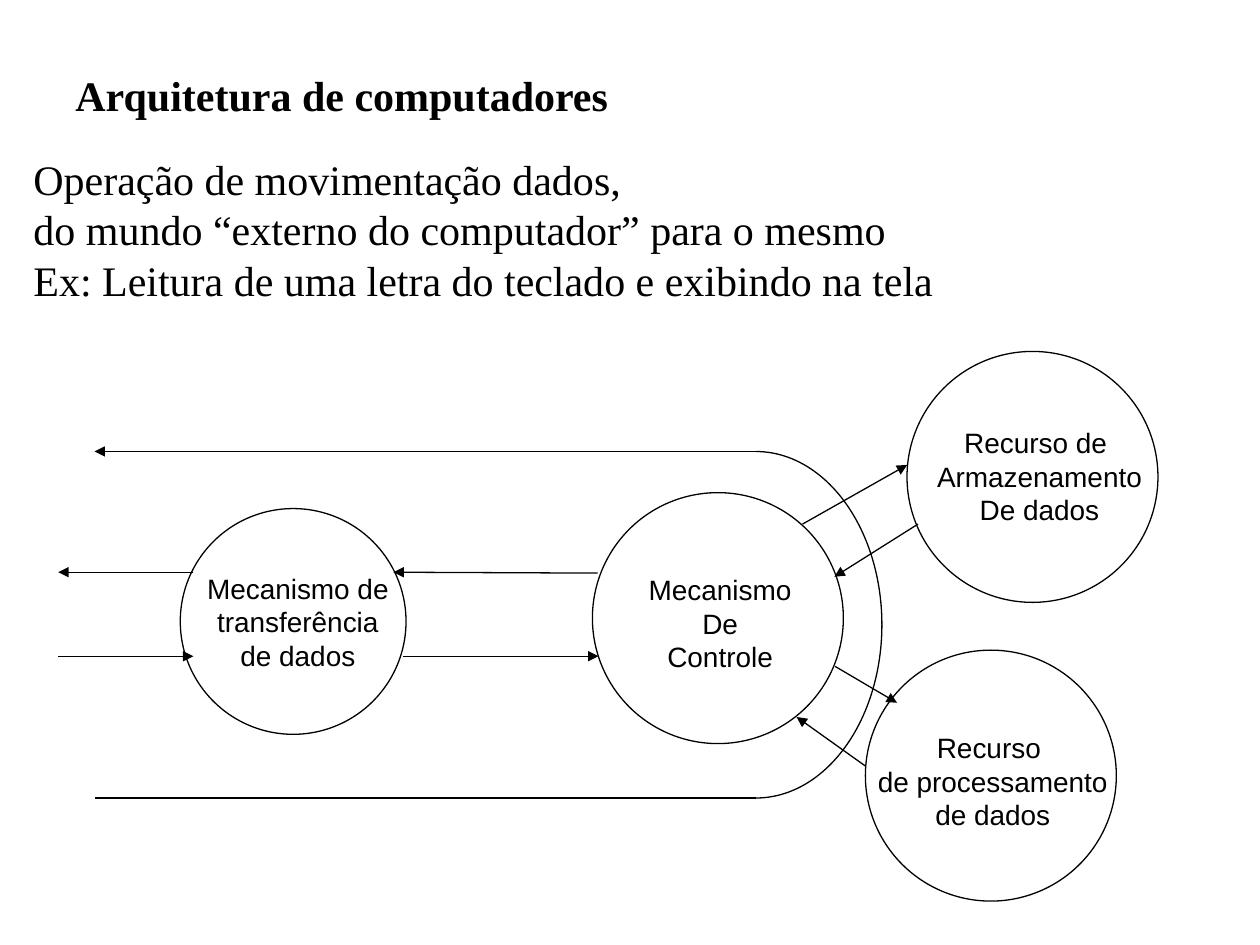
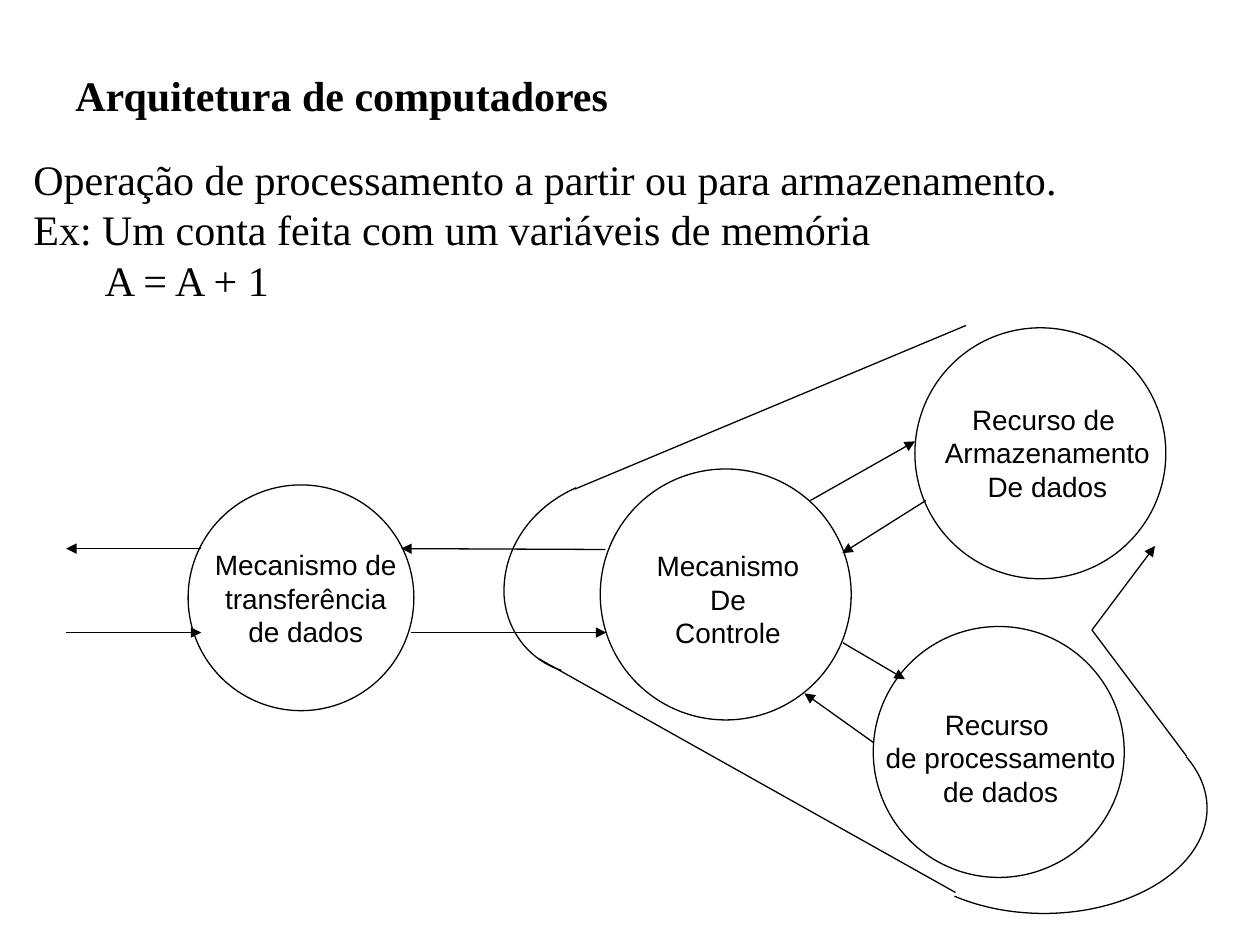
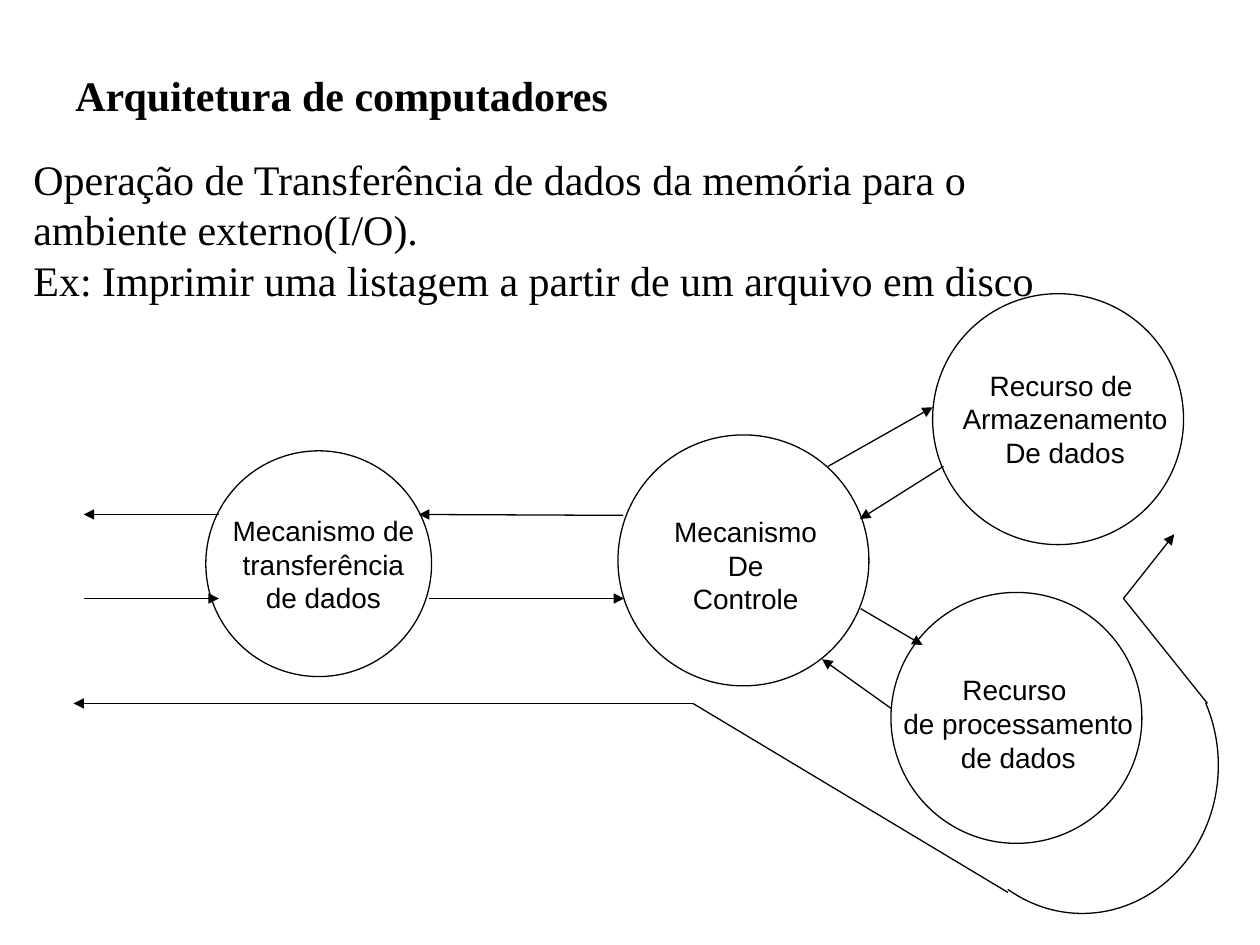
import pptx
import pptx.dml.color
import pptx.enum.shapes
import pptx.enum.text
import pptx.oxml.ns
import pptx.util
from lxml import etree

Pt = pptx.util.Pt
MSO_SHAPE = pptx.enum.shapes.MSO_SHAPE
PP_ALIGN = pptx.enum.text.PP_ALIGN
INK = "000000"
LINE_WIDTH = 0.75
TITLE = "Arquitetura de computadores"
TITLE_FONT = "Times New Roman"
LABEL_FONT = "Arial"

CIRCLES = [
    (103, 290.6, 129),
    (338.5, 281.5, 143.4),
    (518.3, 200.8, 143.4),
    (494.5, 371.5, 143.4),
]
LABELS = [
    (110.8, 323, 118.8, ["Mecanismo de transferência de dados"], True),
    (362.5, 323.6, 98, ["Mecanismo", "De", "Controle"], False),
    (527, 239.8, 134, ["Recurso de ", "Armazenamento", "De dados"], False),
    (492.8, 414, 149, ["Recurso ", "de processamento", "de dados"], False),
]
FLOWS = [
    (110.5, 327, 33.3, 327),
    (33.3, 375, 110.5, 375),
    (230.5, 375, 342, 375),
    (341.5, 327.5, 224.8, 327),
    (458.6, 299.5, 518.4, 265.7),
    (524.6, 299.5, 476.8, 329.6),
    (477.2, 380.8, 512.6, 401.6),
    (494.6, 437.8, 455.2, 409.7),
]


def rgb(value):
    """Return the colour for a hex string."""
    return pptx.dml.color.RGBColor.from_string(value)


def add_text(slide, box, lines, font, size, bold=False, align=PP_ALIGN.LEFT, wrap=True):
    """Add a text box with one paragraph per line and return its text frame."""
    tf = slide.shapes.add_textbox(*map(Pt, box)).text_frame
    tf.word_wrap = wrap
    tf.auto_size = pptx.enum.text.MSO_AUTO_SIZE.SHAPE_TO_FIT_TEXT
    for i, line in enumerate(lines):
        p = tf.paragraphs[0] if i == 0 else tf.add_paragraph()
        p.text = line
        p.alignment = align
        p.font.name = font
        p.font.size = Pt(size)
        p.font.bold = bold
        p.font.color.rgb = rgb(INK)
    return tf


def add_outline(slide, preset, box):
    """Add an unfilled preset shape with a thin line."""
    sp = slide.shapes.add_shape(preset, *map(Pt, box))
    sp.shadow.inherit = False
    sp.fill.background()
    sp.line.color.rgb = rgb(INK)
    sp.line.width = Pt(LINE_WIDTH)
    return sp


def add_arc(slide, box, start, end):
    """Add a clockwise arc between two angles in degrees."""
    sp = add_outline(slide, MSO_SHAPE.ARC, box)
    sp.adjustments[0] = start * 0.6
    sp.adjustments[1] = end * 0.6


def add_line(slide, x1, y1, x2, y2, arrow=False):
    """Add a straight line, with an arrowhead at its end if asked."""
    line = slide.shapes.add_connector(
        pptx.enum.shapes.MSO_CONNECTOR.STRAIGHT, Pt(x1), Pt(y1), Pt(x2), Pt(y2))
    line.line.color.rgb = rgb(INK)
    line.line.width = Pt(LINE_WIDTH)
    if arrow:
        ln = line.line._get_or_add_ln()
        etree.SubElement(ln, pptx.oxml.ns.qn("a:tailEnd"), type="triangle")
    etree.SubElement(line._element.spPr, pptx.oxml.ns.qn("a:effectLst"))


def add_diagram(slide, dx, dy):
    """Add the four linked mechanisms, shifted by dx and dy."""
    for x, y, size in CIRCLES:
        add_outline(slide, MSO_SHAPE.OVAL, (x + dx, y + dy, size, size))
    for x1, y1, x2, y2 in FLOWS:
        add_line(slide, x1 + dx, y1 + dy, x2 + dx, y2 + dy, arrow=True)
    for x, y, width, lines, wrap in LABELS:
        add_text(slide, (x + dx, y + dy, width, 64.8), lines, LABEL_FONT, 16,
                 align=PP_ALIGN.CENTER, wrap=wrap)


def add_operation(prs, lines, dx=0, dy=0, width=588):
    """Add a slide with title, description and diagram; return slide and text frame."""
    slide = prs.slides.add_slide(prs.slide_layouts[6])
    add_text(slide, (36, 36, 320, 36), [TITLE], TITLE_FONT, 24, bold=True, wrap=False)
    tf = add_text(slide, (12, 84.2, width, 94), lines, TITLE_FONT, 24)
    add_diagram(slide, dx, dy)
    return slide, tf


def add_movement_slide(prs):
    """Add the slide on moving data in and back out."""
    slide, _ = add_operation(prs, [
        "Operação de movimentação dados,",
        "do mundo “externo do computador” para o mesmo",
        "Ex: Leitura de uma letra do teclado e exibindo na tela",
    ])
    add_line(slide, 54, 456, 432, 456)
    add_line(slide, 432, 258, 54, 258, arrow=True)
    add_arc(slide, (360, 258, 144, 198), 270, 90)


def add_processing_slide(prs):
    """Add the slide on processing from or to storage."""
    slide, tf = add_operation(prs, [
        "Operação de processamento a partir ou para armazenamento.",
        "Ex: Um conta feita com um variáveis de memória",
        "A = A + 1",
    ], 4.5, -13.5, 666)
    tf.paragraphs[2]._p.get_or_add_pPr().set("marL", str(Pt(40.8)))
    add_line(slide, 552, 186, 328.5, 279.5)
    add_line(slide, 308, 376.5, 546, 510)
    add_line(slide, 624, 360, 678, 432)
    add_line(slide, 624, 360, 660, 312, arrow=True)
    add_arc(slide, (288, 272, 147.6, 131), 180, 241)
    add_arc(slide, (288, 289.5, 93.6, 95.8), 107, 180)
    add_arc(slide, (503.3, 401.8, 186.5, 120.2), 340, 135.5)


def add_transfer_slide(prs):
    """Add the slide on transfer from memory to the outside."""
    slide, _ = add_operation(prs, [
        "Operação de Transferência de dados da memória para o ambiente externo(I/O).",
        "Ex: Imprimir uma listagem a partir de um arquivo em disco",
    ], 14.6, -33)
    add_line(slide, 396, 402, 576, 510)
    add_line(slide, 642, 342, 690, 402)
    add_line(slide, 642, 342, 671, 305.3, arrow=True)
    add_line(slide, 396, 402, 42, 402, arrow=True)
    add_arc(slide, (540.7, 352.8, 155.5, 169.2), 333, 121)


def main():
    """Build and save the presentation."""
    prs = pptx.Presentation()
    prs.slide_width, prs.slide_height = Pt(720), Pt(540)
    add_movement_slide(prs)
    add_processing_slide(prs)
    add_transfer_slide(prs)
    prs.save("out.pptx")


if __name__ == "__main__":
    main()
